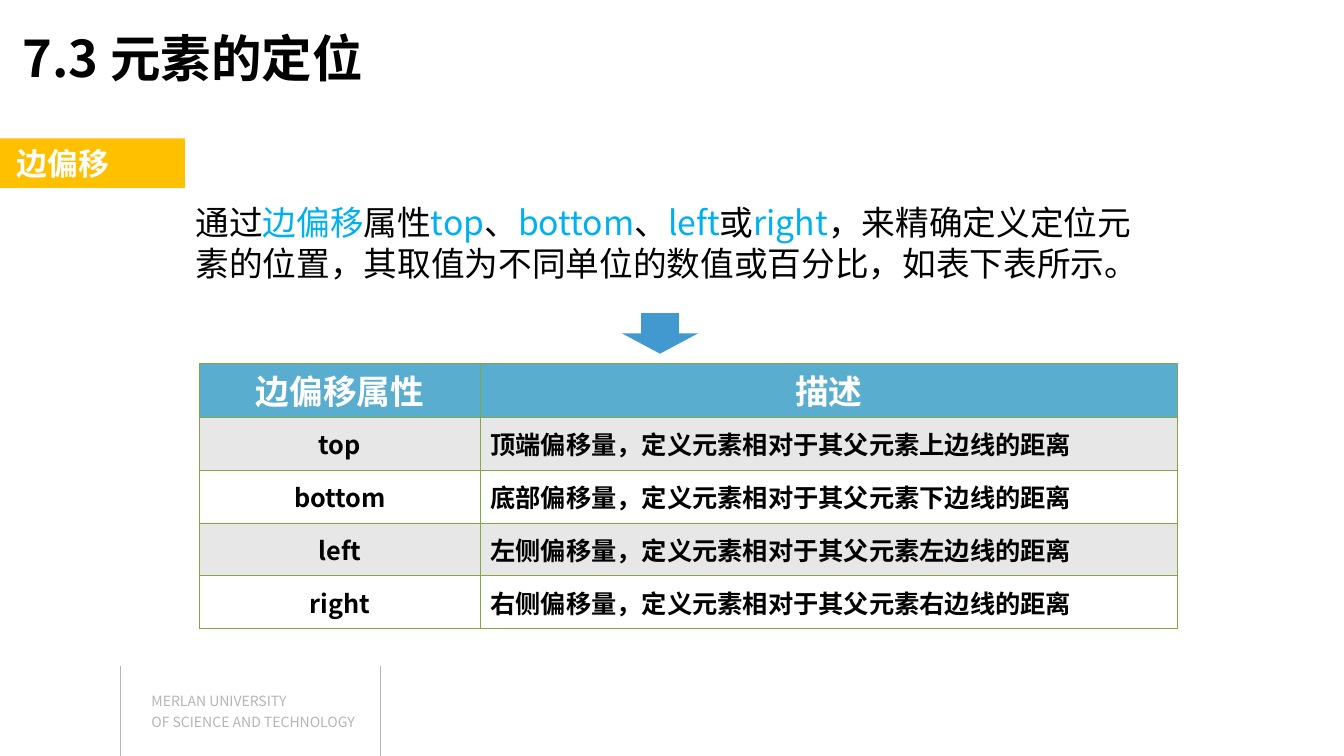
"""Build the slide on side offset properties for positioned elements."""
from dataclasses import dataclass

from lxml.etree import SubElement
from pptx import Presentation
from pptx.dml.color import RGBColor
from pptx.enum.shapes import MSO_CONNECTOR, MSO_SHAPE
from pptx.enum.text import MSO_ANCHOR, PP_ALIGN
from pptx.oxml.ns import qn
from pptx.util import Pt

TITLE = "7.3 元素的定位"
SECTION = "边偏移"
INTRO = [
    ("通过", False), ("边偏移", True), ("属性", False), ("top", True),
    ("、", False), ("bottom", True), ("、", False), ("left", True),
    ("或", False), ("right", True),
    ("，来精确定义定位元素的位置，其取值为不同单位的数值或百分比，如表下表所示。", False),
]
OFFSETS = [
    ("边偏移属性", "描述"),
    ("top", "顶端偏移量，定义元素相对于其父元素上边线的距离"),
    ("bottom", "底部偏移量，定义元素相对于其父元素下边线的距离"),
    ("left", "左侧偏移量，定义元素相对于其父元素左边线的距离"),
    ("right", "右侧偏移量，定义元素相对于其父元素右边线的距离"),
]
SCHOOL = [("MERLAN UNIVERSITY", 13), ("OF SCIENCE AND TECHNOLOGY", 15)]


@dataclass(frozen=True)
class Theme:
    """Fonts, type sizes and colours."""
    sans: str = "Noto Sans CJK SC"
    serif: str = "Times New Roman"
    title_size: int = 36
    section_size: int = 22
    intro_size: int = 24
    header_size: int = 24
    row_size: int = 18
    school_size: int = 10
    ink: str = "000000"
    paper: str = "FFFFFF"
    accent: str = "00B0F0"
    banner: str = "FFC000"
    arrow: str = "4199CF"
    header: str = "59ADCF"
    stripe: str = "E7E7E7"
    border: str = "86A644"
    muted: str = "B5B5B6"


THEME = Theme()
WIDTH, HEIGHT = 958.12, 538.62
COLUMN_WIDTHS = (200.2, 496.9)
HEADER_HEIGHT, ROW_HEIGHT = 38.4, 37.6
SCHOOL_RULES = (85.7, 271.4)
RULE_TOP = 474.3


def box(left, top, width, height):
    return Pt(left), Pt(top), Pt(width), Pt(height)


def style_run(run, size, color, bold=False, font=THEME.sans):
    run.font.size = Pt(size)
    run.font.bold = bold
    run.font.name = font
    run.font.color.rgb = RGBColor.from_string(color)
    SubElement(run.font._element, qn("a:ea"), typeface=THEME.sans)


def paint(shape, color):
    shape.shadow.inherit = False
    shape.fill.solid()
    shape.fill.fore_color.rgb = RGBColor.from_string(color)
    shape.line.fill.background()


def add_title(slide):
    frame = slide.shapes.add_textbox(*box(9, 10.8, 539.3, 59.8)).text_frame
    frame.word_wrap = True
    frame.vertical_anchor = MSO_ANCHOR.MIDDLE
    frame.text = TITLE
    style_run(frame.paragraphs[0].runs[0], THEME.title_size, THEME.ink, bold=True)


def add_section(slide):
    banner = slide.shapes.add_shape(MSO_SHAPE.RECTANGLE, *box(0, 98.6, 131.8, 35.3))
    paint(banner, THEME.banner)
    frame = banner.text_frame
    frame.margin_left = Pt(12)
    frame.vertical_anchor = MSO_ANCHOR.TOP
    frame.text = SECTION
    label = frame.paragraphs[0]
    label.alignment = PP_ALIGN.LEFT
    label.line_spacing = Pt(27)
    style_run(label.runs[0], THEME.section_size, THEME.paper, bold=True)


def add_intro(slide):
    frame = slide.shapes.add_textbox(*box(132.2, 140.4, 694.1, 93.6)).text_frame
    frame.word_wrap = True
    sentence = frame.paragraphs[0]
    sentence.line_spacing = Pt(28.8)
    for words, highlighted in INTRO:
        run = sentence.add_run()
        run.text = words
        style_run(run, THEME.intro_size, THEME.accent if highlighted else THEME.ink)


def add_arrow(slide):
    arrow = slide.shapes.add_shape(MSO_SHAPE.DOWN_ARROW, *box(443.5, 223.2, 54, 28.8))
    paint(arrow, THEME.arrow)


def add_borders(cell):
    properties = cell._tc.get_or_add_tcPr()
    for side in ("a:lnL", "a:lnR", "a:lnT", "a:lnB"):
        edge = SubElement(properties, qn(side), w=str(Pt(0.45)))
        fill = SubElement(edge, qn("a:solidFill"))
        SubElement(fill, qn("a:srgbClr"), val=THEME.border)


def fill_cell(cell, words, row, column):
    is_header = row == 0
    add_borders(cell)
    cell.fill.solid()
    background = THEME.header if is_header else THEME.stripe if row % 2 else THEME.paper
    cell.fill.fore_color.rgb = RGBColor.from_string(background)
    cell.vertical_anchor = MSO_ANCHOR.MIDDLE
    cell.margin_top = Pt(6.6 if is_header else 1.8)
    cell.margin_bottom = Pt(1.8)
    cell.text = words
    entry = cell.text_frame.paragraphs[0]
    entry.alignment = PP_ALIGN.CENTER if is_header or column == 0 else PP_ALIGN.LEFT
    if is_header:
        entry.line_spacing = Pt(28.8)
        style_run(entry.runs[0], THEME.header_size, THEME.paper, True, THEME.serif)
    else:
        style_run(entry.runs[0], THEME.row_size, THEME.ink, True)


def add_offsets(slide):
    heights = [HEADER_HEIGHT] + [ROW_HEIGHT] * (len(OFFSETS) - 1)
    place = box(142.2, 259, sum(COLUMN_WIDTHS), sum(heights))
    offsets = slide.shapes.add_table(len(OFFSETS), len(COLUMN_WIDTHS), *place).table
    for column, width in zip(offsets.columns, COLUMN_WIDTHS):
        column.width = Pt(width)
    for row, height in zip(offsets.rows, heights):
        row.height = Pt(height)
    for row, entries in enumerate(OFFSETS):
        for column, words in enumerate(entries):
            fill_cell(offsets.cell(row, column), words, row, column)


def add_school(slide):
    for x in SCHOOL_RULES:
        rule = slide.shapes.add_connector(
            MSO_CONNECTOR.STRAIGHT, Pt(x), Pt(RULE_TOP), Pt(x), Pt(HEIGHT))
        rule.line.color.rgb = RGBColor.from_string(THEME.muted)
        rule.line.width = Pt(1)
        SubElement(rule._element.spPr, qn("a:effectLst"))
    frame = slide.shapes.add_textbox(*box(108, 492.5, 148.3, 31.7)).text_frame
    frame.word_wrap = False
    frame.margin_left = frame.margin_right = frame.margin_top = 0
    frame.text = "\n".join(words for words, _ in SCHOOL)
    for line, (_, spacing) in zip(frame.paragraphs, SCHOOL):
        line.line_spacing = Pt(spacing)
        style_run(line.runs[0], THEME.school_size, THEME.muted)


def main():
    deck = Presentation()
    deck.slide_width, deck.slide_height = Pt(WIDTH), Pt(HEIGHT)
    slide = deck.slides.add_slide(deck.slide_layouts[6])
    for add_part in (add_school, add_intro, add_offsets, add_title, add_section, add_arrow):
        add_part(slide)
    deck.save("out.pptx")


if __name__ == "__main__":
    main()
